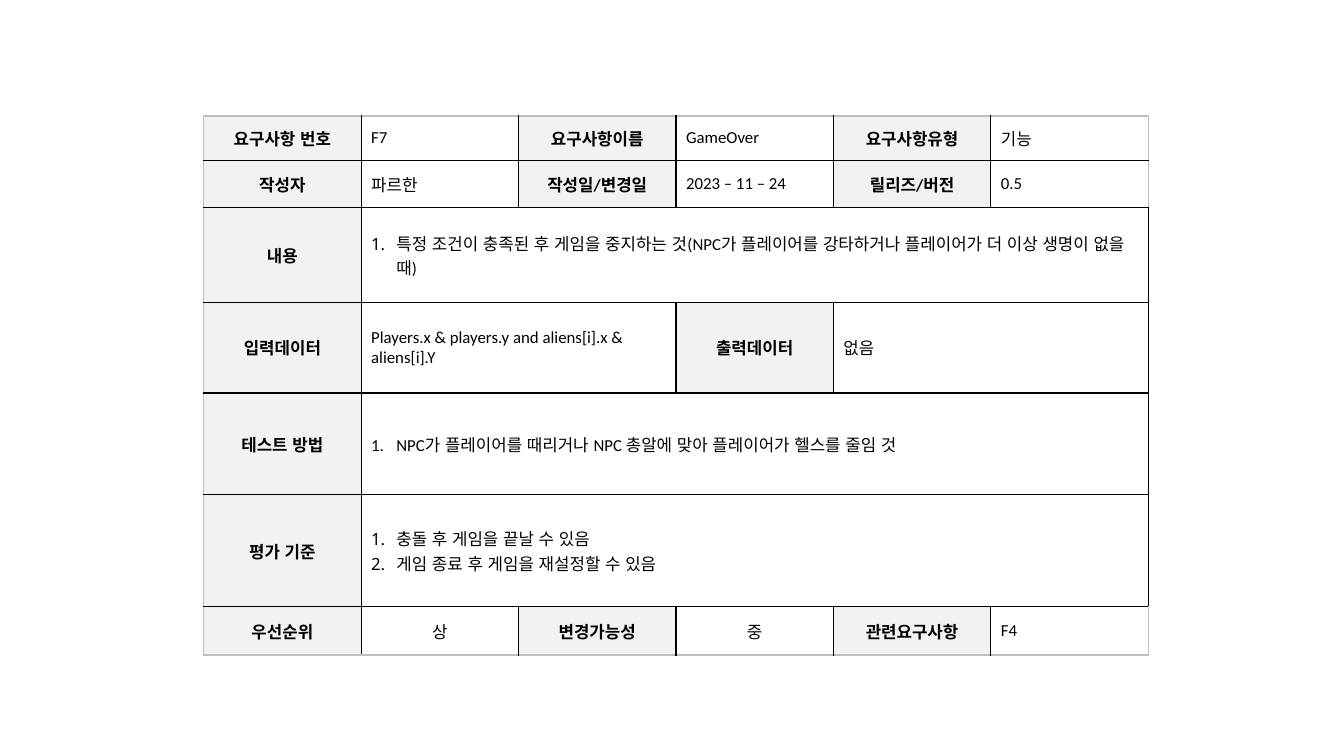
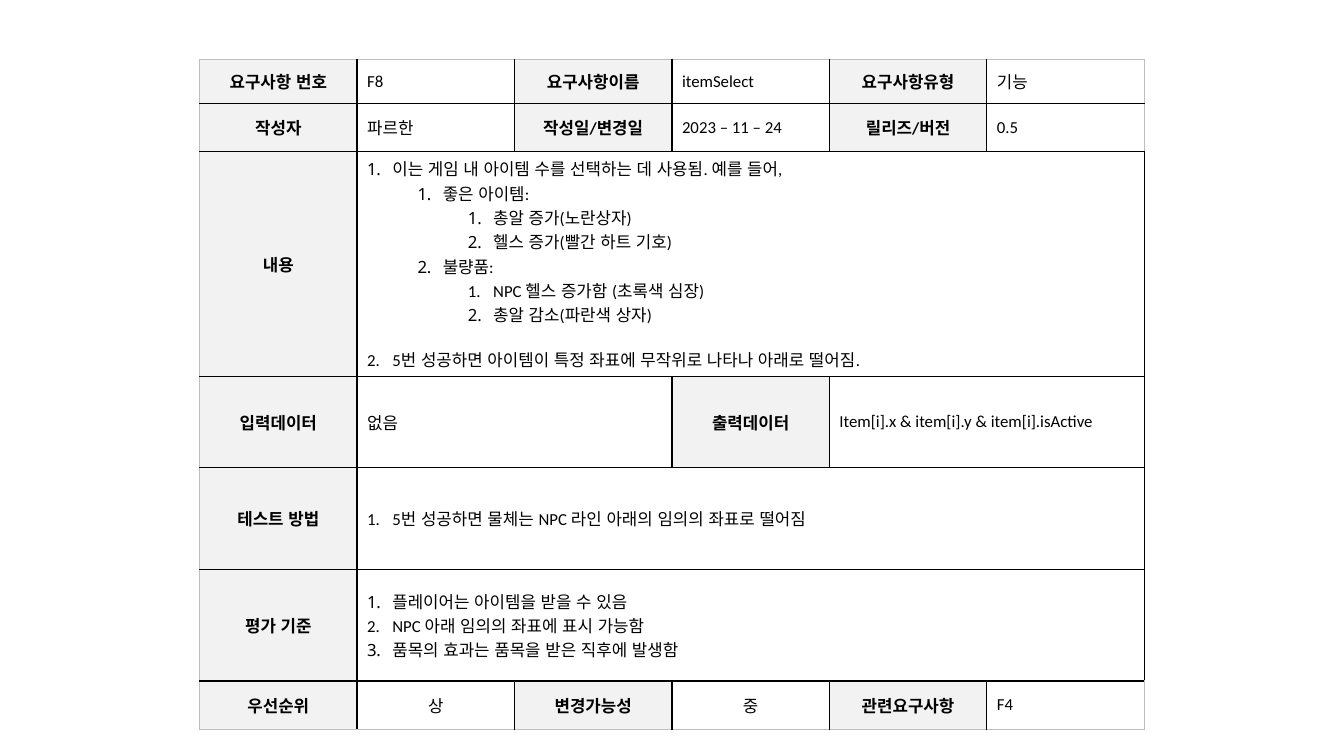
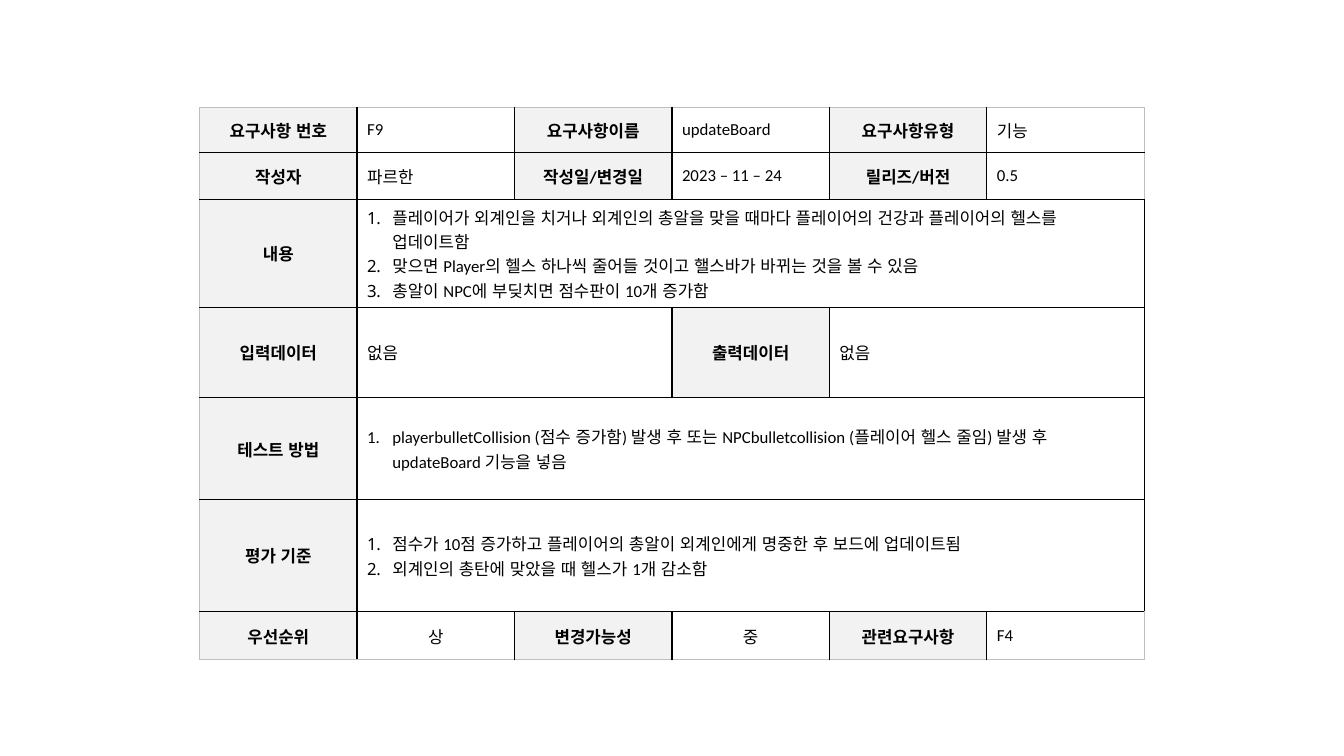
from pptx import Presentation
from pptx.dml.color import RGBColor
from pptx.enum.lang import MSO_LANGUAGE_ID
from pptx.enum.text import MSO_ANCHOR, PP_ALIGN
from pptx.oxml import parse_xml
from pptx.oxml.ns import nsdecls
from pptx.util import Inches, Pt

COLORS = {"text": "000000", "line": "000000", "edge": "BFBFBF", "label": "F2F2F2"}
FONT = {"name": "Calibri", "size": Pt(12), "language_id": MSO_LANGUAGE_ID.KOREAN}
EAST_ASIAN = "맑은 고딕"
TABLE_W = 9.37
COLS = 6
ROW_H = [0.44, 0.47, 0.94, 0.9, 1.01, 1.11, 0.48]
INDENT = 0.25
LEVEL_STEP = 0.5
LABELS = [
    ["요구사항 번호", "요구사항이름", "요구사항유형"],
    ["작성자", "작성일/변경일", "릴리즈/버전"],
    ["내용"],
    ["입력데이터", "출력데이터"],
    ["테스트 방법"],
    ["평가 기준"],
    ["우선순위", "변경가능성", "관련요구사항"],
]
AUTHOR = ["파르한", "2023 – 11 – 24", "0.5"]
RANKING = ["상", "중", "F4"]
CENTERED = ("상", "중")

REQUIREMENTS = [
    {
        "at": (2.02, 1.15),
        "head": ["F7", "GameOver", "기능"],
        "content": [(0, "특정 조건이 충족된 후 게임을 중지하는 것(NPC가 플레이어를 강타하거나 플레이어가 더 이상 생명이 없을 때)")],
        "data": ["Players.x & players.y and aliens[i].x & aliens[i].Y", "없음"],
        "test": [(0, "NPC가 플레이어를 때리거나 NPC 총알에 맞아 플레이어가 헬스를 줄임 것")],
        "criteria": [
            (0, "충돌 후 게임을 끝날 수 있음"),
            (0, "게임 종료 후 게임을 재설정할 수 있음"),
        ],
    },
    {
        "at": (1.98, 0.59),
        "head": ["F8", "itemSelect", "기능"],
        "content": [
            (0, "이는 게임 내 아이템 수를 선택하는 데 사용됨. 예를 들어,"),
            (1, "좋은 아이템:"),
            (2, "총알 증가(노란상자)"),
            (2, "헬스 증가(빨간 하트 기호)"),
            (1, "불량품:"),
            (2, "NPC 헬스 증가함 (초록색 심장)"),
            (2, "총알 감소(파란색 상자)"),
            (0, "5번 성공하면 아이템이 특정 좌표에 무작위로 나타나 아래로 떨어짐."),
        ],
        "data": ["없음", "Item[i].x & item[i].y & item[i].isActive"],
        "test": [(0, "5번 성공하면 물체는 NPC 라인 아래의 임의의 좌표로 떨어짐")],
        "criteria": [
            (0, "플레이어는 아이템을 받을 수 있음"),
            (0, "NPC 아래 임의의 좌표에 표시 가능함"),
            (0, "품목의 효과는 품목을 받은 직후에 발생함"),
        ],
    },
    {
        "at": (1.98, 1.07),
        "head": ["F9", "updateBoard", "기능"],
        "content": [
            (0, "플레이어가 외계인을 치거나 외계인의 총알을 맞을 때마다 플레이어의 건강과 플레이어의 헬스를\n업데이트함"),
            (0, "맞으면 Player의 헬스 하나씩 줄어들 것이고 핼스바가 바뀌는 것을 볼 수 있음"),
            (0, "총알이 NPC에 부딪치면 점수판이 10개 증가함"),
        ],
        "data": ["없음", "없음"],
        "test": [(0, "playerbulletCollision (점수 증가함) 발생 후 또는 NPCbulletcollision (플레이어 헬스 줄임) 발생 후 updateBoard 기능을 넣음")],
        "criteria": [
            (0, "점수가 10점 증가하고 플레이어의 총알이 외계인에게 명중한 후 보드에 업데이트됨"),
            (0, "외계인의 총탄에 맞았을 때 헬스가 1개 감소함"),
        ],
    },
]


def style_cell(cell, x, y):
    cell.fill.background()
    cell.vertical_anchor = MSO_ANCHOR.MIDDLE
    tcPr = cell._tc.get_or_add_tcPr()
    on_edge = {"lnL": x == 0, "lnR": x == COLS - 1,
               "lnT": y == 0, "lnB": y == len(ROW_H) - 1}
    for i, (side, outer) in enumerate(on_edge.items()):
        color = COLORS["edge" if outer else "line"]
        tcPr.insert(i, parse_xml(
            f'<a:{side} {nsdecls("a")} w="{Pt(1)}"><a:solidFill>'
            f'<a:srgbClr val="{color}"/></a:solidFill></a:{side}>'))


def write(p, text, bold=False, align=PP_ALIGN.LEFT):
    p.alignment = align
    for i, line in enumerate(text.split("\n")):
        if i:
            p.add_line_break()
        r = p.add_run()
        r.text = line
        for key, value in {**FONT, "bold": bold}.items():
            setattr(r.font, key, value)
        r.font.color.rgb = RGBColor.from_string(COLORS["text"])
        r._r.get_or_add_rPr().append(
            parse_xml(f'<a:ea {nsdecls("a")} typeface="{EAST_ASIAN}"/>'))


def write_label(cell, text):
    cell.fill.solid()
    cell.fill.fore_color.rgb = RGBColor.from_string(COLORS["label"])
    write(cell.text_frame.paragraphs[0], text, True, PP_ALIGN.CENTER)


def write_value(cell, text):
    align = PP_ALIGN.CENTER if text in CENTERED else PP_ALIGN.LEFT
    write(cell.text_frame.paragraphs[0], text, align=align)


def write_list(cell, items):
    tf = cell.text_frame
    previous = 0
    for i, (level, text) in enumerate(items):
        p = tf.add_paragraph() if i else tf.paragraphs[0]
        p.level = level
        pPr = p._p.get_or_add_pPr()
        pPr.set("marL", str(Inches(INDENT + level * LEVEL_STEP)))
        pPr.set("indent", str(-Inches(INDENT)))
        pPr.append(parse_xml(f'<a:buAutoNum {nsdecls("a")} type="arabicPeriod"/>'))
        if level == 0 and previous:
            p.space_before = Pt(14.6)
        write(p, text)
        previous = level


def add_requirement(prs, req):
    s = prs.slides.add_slide(prs.slide_layouts[6])
    left, top = req["at"]
    table = s.shapes.add_table(
        len(ROW_H), COLS, Inches(left), Inches(top),
        Inches(TABLE_W), Inches(sum(ROW_H))).table
    table.first_row = table.horz_banding = False
    for col in table.columns:
        col.width = Inches(TABLE_W / COLS)
    for row, height in zip(table.rows, ROW_H):
        row.height = Inches(height)
    for i, cell in enumerate(table.iter_cells()):
        style_cell(cell, i % COLS, i // COLS)
    values = [req["head"], AUTHOR, [req["content"]], req["data"],
              [req["test"]], [req["criteria"]], RANKING]
    for y, (labels, entries) in enumerate(zip(LABELS, values)):
        step = COLS // len(labels)
        for i, (label, entry) in enumerate(zip(labels, entries)):
            x = i * step
            write_label(table.cell(y, x), label)
            cell = table.cell(y, x + 1)
            if step > 2:
                last = table.cell(y, x + step - 1)
                cell.merge(last)
            if isinstance(entry, list):
                write_list(cell, entry)
            else:
                write_value(cell, entry)


def main():
    prs = Presentation()
    prs.slide_width, prs.slide_height = Inches(13.33), Inches(7.5)
    for req in REQUIREMENTS:
        add_requirement(prs, req)
    prs.save("out.pptx")


if __name__ == "__main__":
    main()
